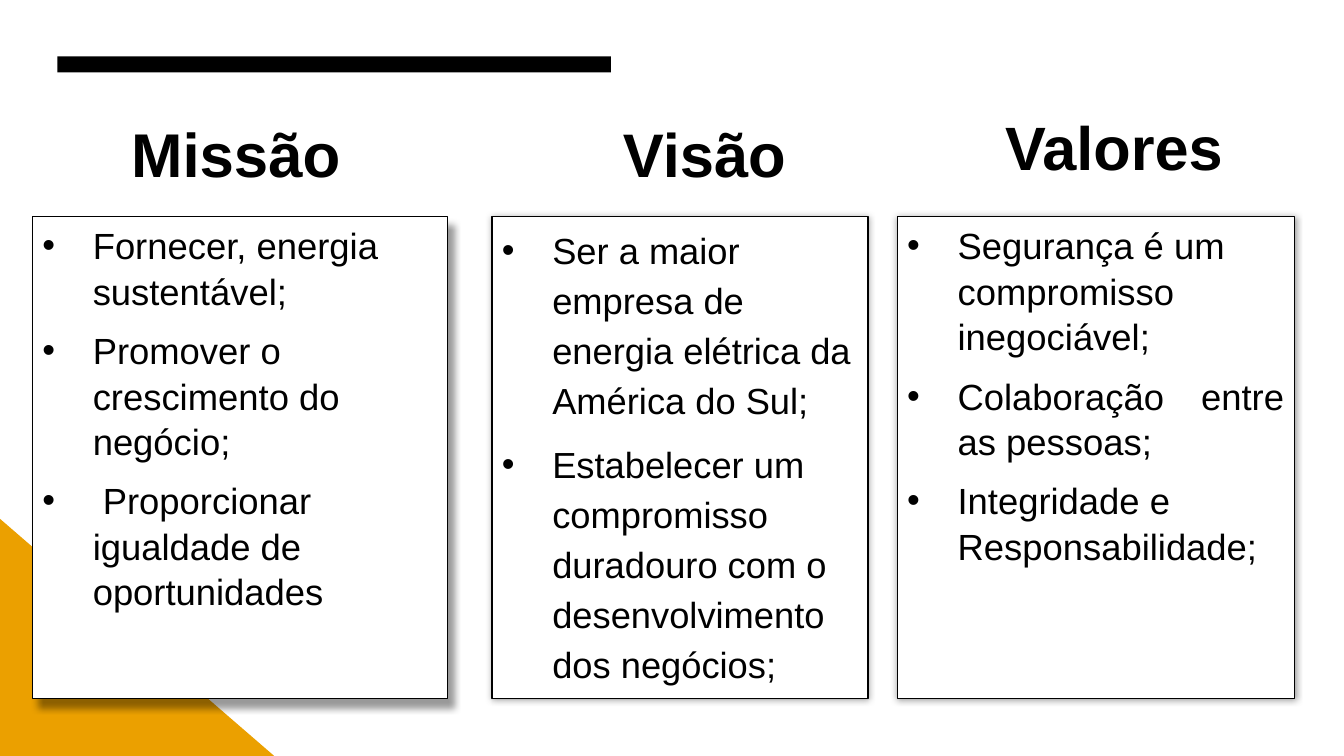
from lxml.etree import SubElement
from pptx import Presentation
from pptx.dml.color import RGBColor
from pptx.enum.shapes import MSO_SHAPE
from pptx.enum.text import MSO_ANCHOR, MSO_AUTO_SIZE, PP_ALIGN
from pptx.oxml.ns import qn
from pptx.util import Inches, Pt

# Content: heading, its size, its line spacing, list items
PARTS = [
    dict(head="Missão", hsize=44.1, hgap=1, size=26, gap=1.04, items=[
        "Fornecer, energia sustentável;",
        "Promover o crescimento do negócio;",
        " Proporcionar igualdade de oportunidades"]),
    dict(head="Visão", hsize=43.9, hgap=1, size=25.9, gap=1.15, items=[
        "Ser a maior empresa de energia elétrica da América do Sul;",
        "Estabelecer um compromisso duradouro com o desenvolvimento "
        "dos negócios;"]),
    dict(head="Valores", hsize=43.7, hgap=0.8, size=26, gap=1.04, just=1, items=[
        "Segurança é um compromisso inegociável;",
        "Colaboração entre as pessoas;",
        "Integridade e Responsabilidade;"]),
]

# Columns: heading left, card left, card width, shadow distance in points
COLS = [(1.2, 0.32, 4.12, 7), (6.08, 4.88, 3.73, 0), (9.87, 8.9, 3.94, 0)]
HEAD = (1.06, 2.53, 0.91)  # top, width, height
CARD = (2.15, 4.78)        # top, height
BLACK, WHITE, GOLD = "000000", "FFFFFF", "EBA000"

deck = Presentation()
deck.slide_width, deck.slide_height = Inches(13.33), Inches(7.5)
slide = deck.slides.add_slide(deck.slide_layouts[1])
shapes = slide.shapes


def color(code):
    return RGBColor.from_string(code)


def place(shape, *box):
    shape.left, shape.top, shape.width, shape.height = map(Inches, box)
    return shape


def paint(shape, fill, line=None):
    shape.fill.solid()
    shape.fill.fore_color.rgb = color(fill)
    if line:
        shape.line.color.rgb = color(line)
        shape.line.width = Pt(1)
    else:
        shape.line.fill.background()


def write(shape, lines, size, bold=False, gap=1, bullet=False, just=None,
          anchor=MSO_ANCHOR.TOP):
    frame = shape.text_frame
    frame.word_wrap = True
    frame.auto_size = MSO_AUTO_SIZE.NONE
    frame.vertical_anchor = anchor
    for i, line in enumerate(lines):
        para = frame.paragraphs[0] if i == 0 else frame.add_paragraph()
        if bullet:
            props = para._p.get_or_add_pPr()
            props.set("marL", str(Inches(0.5)))
            props.set("indent", str(-Inches(0.5)))
            SubElement(props, qn("a:buFont"), typeface="Arial")
            SubElement(props, qn("a:buChar"), char="•")
        para.alignment = PP_ALIGN.JUSTIFY if i == just else PP_ALIGN.LEFT
        para.line_spacing = gap
        para.space_before = Pt(10 if i else 0)
        run = para.add_run()
        run.text = line
        run.font.name, run.font.size, run.font.bold = "Arial", Pt(size), bold
        run.font.color.rgb = color(BLACK)


def shade(shape, dist):
    shape_props = shape._element.spPr
    for old in shape_props.findall(qn("a:effectLst")):
        shape_props.remove(old)
    effect = SubElement(shape_props, qn("a:effectLst"))
    outer = SubElement(effect, qn("a:outerShdw"), blurRad=str(Pt(5)),
                       dist=str(Pt(dist)), dir=str(55 * 60000),
                       algn="ctr", rotWithShape="0")
    tint = SubElement(outer, qn("a:srgbClr"), val=BLACK)
    SubElement(tint, qn("a:alpha"), val="40000")


# Bar and corner, behind everything else
for at, (kind, box, fill) in enumerate([
        (MSO_SHAPE.RECTANGLE, (0.57, 0.56, 5.49, 0.16), BLACK),
        (MSO_SHAPE.RIGHT_TRIANGLE, (-0.02, 5.13, 2.74, 2.37), GOLD)]):
    decor = shapes.add_shape(kind, *map(Inches, box))
    decor.shadow.inherit = False
    paint(decor, fill)
    shapes._spTree.insert(2 + at, decor._element)

# Headings and cards; the first column uses the placeholders
for i, (part, (left, edge, width, dist)) in enumerate(zip(PARTS, COLS)):
    if i == 0:
        head, card = shapes.title, slide.placeholders[1]
    else:
        head = shapes.add_textbox(0, 0, 0, 0)
        card = shapes.add_shape(MSO_SHAPE.RECTANGLE, 0, 0, 0, 0)
    place(head, left, *HEAD)
    write(head, [part["head"]], part["hsize"], bold=True, gap=part["hgap"],
          anchor=MSO_ANCHOR.MIDDLE)
    place(card, edge, CARD[0], width, CARD[1])
    paint(card, WHITE, BLACK)
    shade(card, dist)
    write(card, part["items"], part["size"], gap=part["gap"], bullet=True,
          just=part.get("just"))

deck.save("out.pptx")
